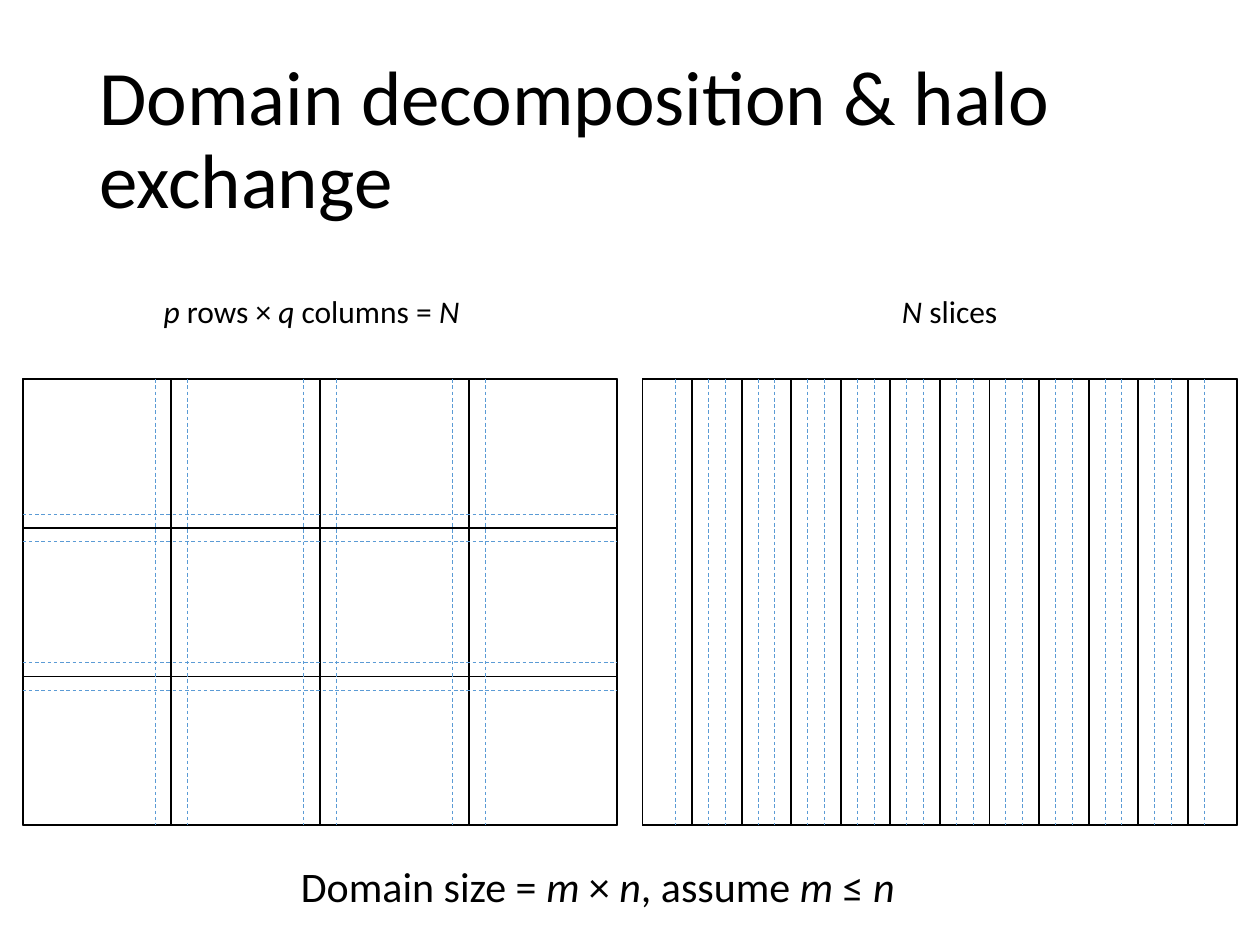
from pptx import Presentation
from pptx.dml.color import RGBColor
from pptx.enum.dml import MSO_LINE
from pptx.enum.shapes import MSO_CONNECTOR, MSO_SHAPE
from pptx.enum.text import MSO_ANCHOR, MSO_AUTO_SIZE
from pptx.oxml.ns import qn
from pptx.util import Inches, Pt
from lxml import etree

RECTANGLE = MSO_SHAPE.RECTANGLE
STRAIGHT = MSO_CONNECTOR.STRAIGHT
DASH = MSO_LINE.DASH
TOP, MIDDLE = MSO_ANCHOR.TOP, MSO_ANCHOR.MIDDLE
GROW, FIXED = MSO_AUTO_SIZE.SHAPE_TO_FIT_TEXT, MSO_AUTO_SIZE.NONE
BLACK, WHITE, BLUE = "000000", "FFFFFF", "5B9BD5"
COLUMN_HALO, ROW_HALO = 0.13, 0.11


def color(hex_value):
    return RGBColor.from_string(hex_value)


def set_line(shape, hex_value, width):
    shape.line.color.rgb = color(hex_value)
    shape.line.width = Pt(width)


def add_text(page, box, spans, size, spacing=None, **frame_format):
    frame = page.shapes.add_textbox(*map(Inches, box)).text_frame
    defaults = {"word_wrap": False, "auto_size": GROW, "vertical_anchor": TOP}
    for name, value in {**defaults, **frame_format}.items():
        setattr(frame, name, value)
    para = frame.paragraphs[0]
    para.line_spacing = spacing
    for text, italic in spans:
        span = para.add_run()
        span.text = text
        font_format = {"name": "Calibri", "size": Pt(size), "italic": italic}
        for name, value in font_format.items():
            setattr(span.font, name, value)
        span.font.color.rgb = color(BLACK)


def add_cell(page, box):
    cell = page.shapes.add_shape(RECTANGLE, *map(Inches, box))
    cell.shadow.inherit = False
    cell.fill.solid()
    cell.fill.fore_color.rgb = color(WHITE)
    set_line(cell, BLACK, 1)


def add_halo(page, ends):
    halo = page.shapes.add_connector(STRAIGHT, *map(Inches, ends))
    set_line(halo, BLUE, 0.5)
    halo.line.dash_style = DASH
    etree.SubElement(halo._element.spPr, qn("a:effectLst"))


def add_domain(page, box, rows, columns):
    left, top, width, height = box
    cell_width, cell_height = width / columns, height / rows
    add_cell(page, box)
    for row in range(rows):
        for column in range(columns):
            add_cell(page, (left + column * cell_width, top + row * cell_height,
                            cell_width, cell_height))
    for row in range(1, rows):
        for offset in (-ROW_HALO, ROW_HALO):
            y = top + row * cell_height + offset
            add_halo(page, (left, y, left + width, y))
    for column in range(1, columns):
        for offset in (-COLUMN_HALO, COLUMN_HALO):
            x = left + column * cell_width + offset
            add_halo(page, (x, top, x, top + height))


def main():
    deck = Presentation()
    deck.slide_width, deck.slide_height = Inches(10), Inches(7.5)
    page = deck.slides.add_slide(deck.slide_layouts[6])
    add_text(page, (0.69, 0.4, 8.62, 1.45),
             [("Domain decomposition & halo exchange", False)], 44, 0.9,
             word_wrap=True, auto_size=FIXED, vertical_anchor=MIDDLE)
    add_domain(page, (0.18, 3.01, 4.72, 3.54), rows=3, columns=4)
    add_domain(page, (5.1, 3.01, 4.72, 3.54), rows=1, columns=12)
    add_text(page, (1.2, 2.27, 2.59, 0.4),
             [("p", True), (" rows × ", False), ("q", True),
              (" columns = ", False), ("N", True)], 18)
    add_text(page, (7.06, 2.27, 0.97, 0.4),
             [("N", True), (" slices", False)], 18)
    add_text(page, (2.29, 6.78, 4.97, 0.5),
             [("Domain size = ", False), ("m ", True), ("× ", False),
              ("n", True), (", assume ", False), ("m", True),
              (" ≤ ", False), ("n", True)], 24)
    deck.save("out.pptx")


if __name__ == "__main__":
    main()
